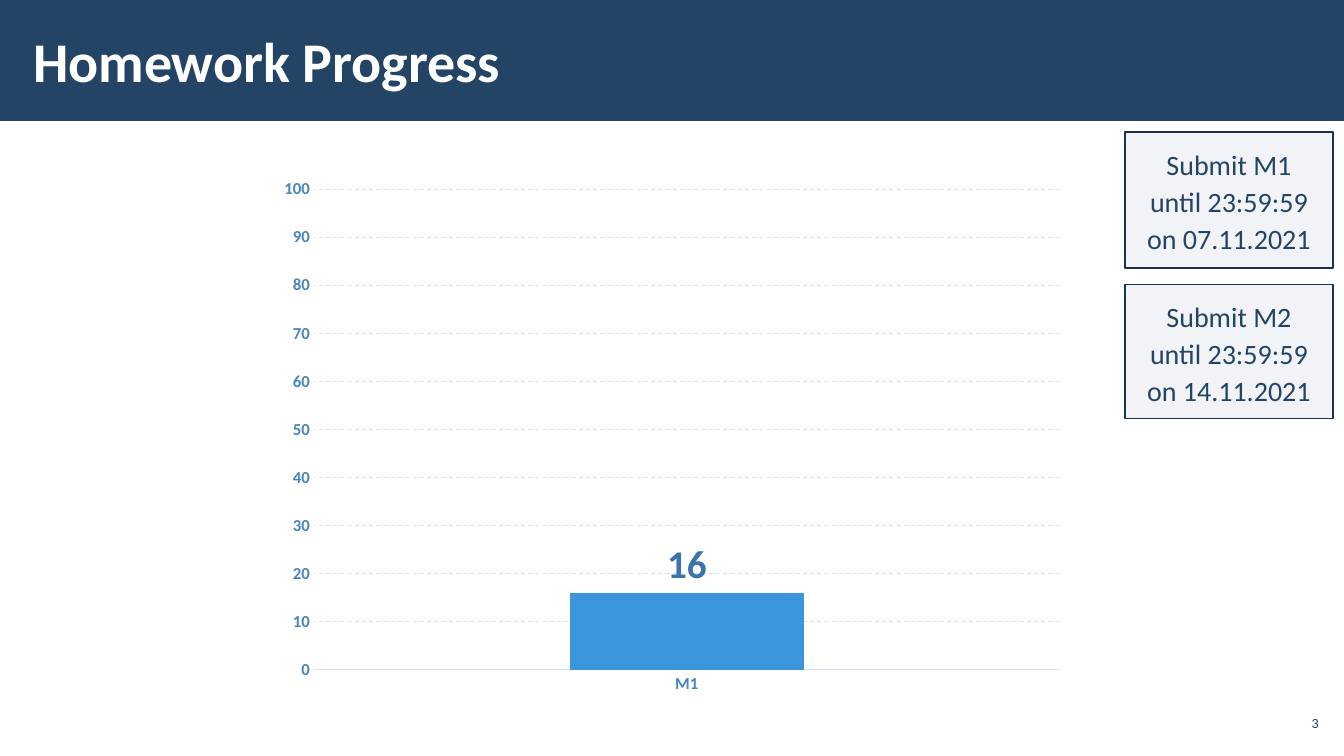
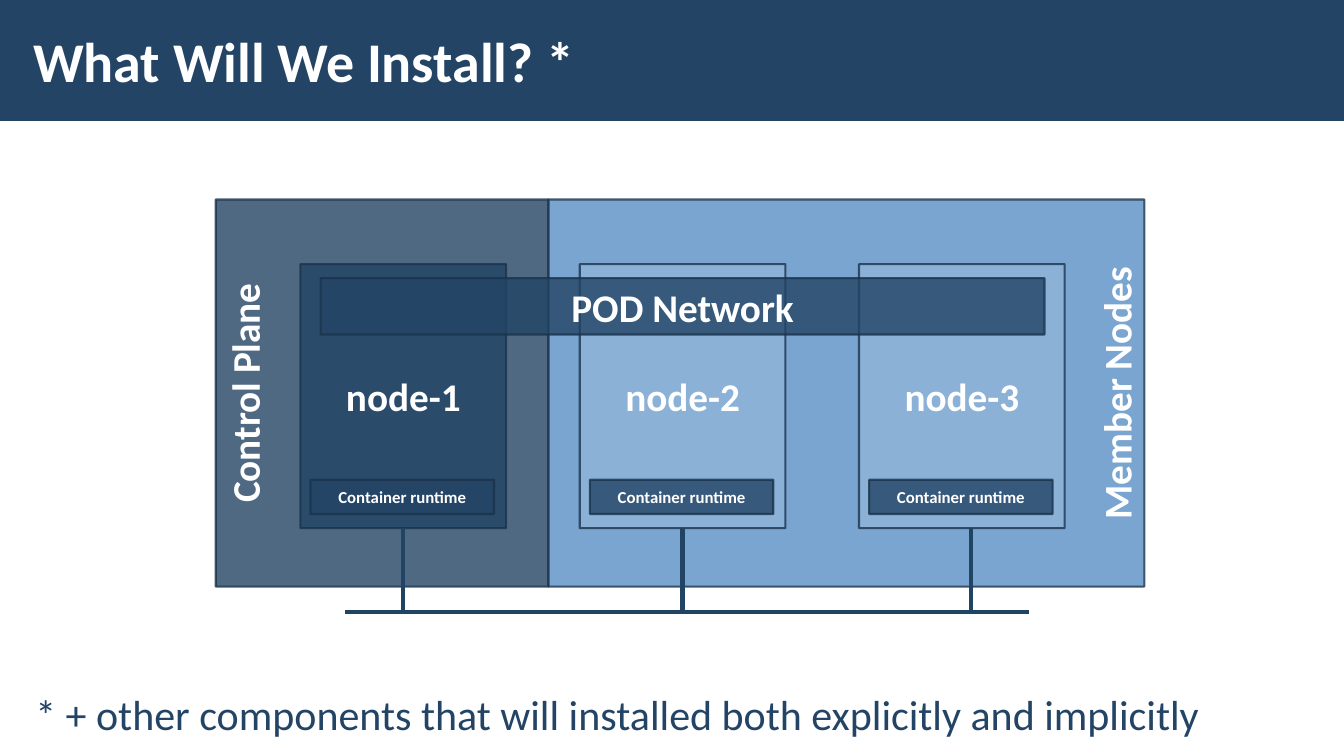
from pptx import Presentation
from pptx.chart.data import CategoryChartData as ChartData
from pptx.dml.color import RGBColor
from pptx.enum.chart import XL_CHART_TYPE as Kind, XL_LABEL_POSITION as Spot
from pptx.enum.chart import XL_MARKER_STYLE as Mark, XL_TICK_MARK as Tick
from pptx.enum.dml import MSO_LINE as Dash
from pptx.enum.shapes import MSO_CONNECTOR as Conn, MSO_SHAPE as Shape
from pptx.enum.text import MSO_ANCHOR as Anchor, MSO_AUTO_SIZE as Auto, PP_ALIGN as Align
from pptx.oxml import parse_xml
from pptx.oxml.ns import nsdecls, qn
from pptx.util import Inches, Pt
from lxml.etree import SubElement as Sub

FONT = "Calibri"
NAVY = RGBColor(0x23, 0x44, 0x65)
EDGE = RGBColor(0x1A, 0x33, 0x4C)
WIRE = RGBColor(0x21, 0x43, 0x64)
WHITE = RGBColor(0xFF, 0xFF, 0xFF)
GRAY = RGBColor(0xAD, 0xB4, 0xC3)
BLUE = RGBColor(0x58, 0x8F, 0xC5)
PALE = RGBColor(0x90, 0xB4, 0xD8)
BAR = RGBColor(0x3C, 0x96, 0xDC)
TREND = RGBColor(0x90, 0xC1, 0xFA)
GRID = RGBColor(0xD5, 0xE3, 0xF1)
AXIS = RGBColor(0x4A, 0x85, 0xC0)
VALUE = RGBColor(0x3B, 0x73, 0xAA)


def style(font, size, color, bold=False):
    font.name, font.size, font.bold = FONT, Pt(size), bold
    font.color.rgb = color


def write(shape, text, size, color, bold=False, align=Align.LEFT,
          anchor=Anchor.MIDDLE, pad=(0.1, 0.05)):
    """Fill a shape with one paragraph and return that paragraph."""
    frame = shape.text_frame
    frame.word_wrap = True
    frame.vertical_anchor = anchor
    frame.margin_left = frame.margin_right = Inches(pad[0])
    frame.margin_top = frame.margin_bottom = Inches(pad[1])
    para = frame.paragraphs[0]
    para.alignment = align
    run = para.add_run()
    run.text = text
    style(run.font, size, color, bold)
    return para


def label(slide, box, text, size, color, **opts):
    area = slide.shapes.add_textbox(*map(Inches, box))
    return write(area, text, size, color, **opts)


def panel(slide, box, fill, alphas=(), width=0):
    """Rectangle; alphas are the opacities of fill and line in percent."""
    shape = slide.shapes.add_shape(Shape.RECTANGLE, *map(Inches, box))
    shape.shadow.inherit = False
    shape.fill.solid()
    shape.fill.fore_color.rgb = fill
    if width:
        shape.line.color.rgb = EDGE
        shape.line.width = Pt(width)
    else:
        shape.line.fill.background()
    tints = list(shape.element.spPr.iter(qn("a:srgbClr")))
    for tint, alpha in zip(tints, alphas):
        Sub(tint, qn("a:alpha")).set("val", str(alpha * 1000))
    return shape


def block(slide, box, fill, text, size=28, anchor=Anchor.MIDDLE, turn=False):
    """Translucent diagram part with a bold white caption."""
    shape = panel(slide, box, fill, (80, 80), 1.5)
    write(shape, text, size, WHITE, bold=True, align=Align.CENTER, anchor=anchor)
    if turn:
        shape.element.txBody.bodyPr.set("vert", "vert270")
    return shape


def wire(slide, x1, y1, x2, y2):
    line = slide.shapes.add_connector(Conn.STRAIGHT, *map(Inches, (x1, y1, x2, y2)))
    line.line.color.rgb = WIRE
    line.line.width = Pt(3)
    Sub(line.element.spPr, qn("a:effectLst"))
    return line


def start(deck, title):
    """New slide with the shared title band."""
    slide = deck.slides.add_slide(deck.slide_layouts[6])
    panel(slide, (0, 0, 13.33, 1.2), NAVY)
    label(slide, (0.21, 0.11, 10.63, 0.97), title, 40, WHITE,
          bold=True, pad=(0.12, 0.04))
    return slide


def add_trend(chart):
    """Turn the second column series into a line on the same axes."""
    first, row = chart.plots[0].series
    bars, row = first._element.getparent(), row._element
    for flag in row.findall(qn("c:invertIfNegative")):
        row.remove(flag)
    plot = parse_xml(f'<c:lineChart {nsdecls("c")}><c:grouping val="standard"/>'
                     '<c:varyColors val="0"/></c:lineChart>')
    plot.append(row)
    Sub(plot, qn("c:marker")).set("val", "1")
    for axis in bars.findall(qn("c:axId")):
        Sub(plot, qn("c:axId")).set("val", axis.get("val"))
    bars.addnext(plot)
    trend = chart.plots[1].series[0]
    trend.smooth = False
    trend.marker.style = Mark.NONE
    trend.format.line.color.rgb = TREND
    trend.format.line.width = Pt(2.25)


def add_score(slide, box):
    data = ChartData()
    data.categories = ["M1"]
    data.add_series("Series 1", [16])
    data.add_series("Series 2", [1])
    chart = slide.shapes.add_chart(
        Kind.COLUMN_CLUSTERED, *map(Inches, box), data).chart
    chart.has_title = chart.has_legend = False
    style(chart.font, 10, NAVY)

    # Columns
    plot = chart.plots[0]
    plot.vary_by_categories = False
    plot.gap_width = 219
    bar = plot.series[0]
    bar.format.fill.solid()
    bar.format.fill.fore_color.rgb = BAR
    tags = bar.data_labels
    tags.show_value = True
    tags.position = Spot.OUTSIDE_END
    style(tags.font, 28, VALUE, True)
    add_trend(chart)

    # Axes
    cat, val = chart.category_axis, chart.value_axis
    for axis in (cat, val):
        axis.major_tick_mark = axis.minor_tick_mark = Tick.NONE
        style(axis.tick_labels.font, 12, AXIS, True)
    val.minimum_scale, val.maximum_scale, val.major_unit = 0, 100, 10
    val.format.line.fill.background()
    for line in (cat.format.line, val.major_gridlines.format.line):
        line.color.rgb = GRID
        line.width = Pt(0.75)
    val.major_gridlines.format.line.dash_style = Dash.DASH


def add_due(slide, box, text):
    shape = panel(slide, box, GRAY, (15,), 1)
    para = write(shape, text, 20, NAVY, align=Align.CENTER,
                 anchor=Anchor.TOP, pad=(0.16, 0.12))
    para.line_spacing = 1.1
    shape.text_frame.auto_size = Auto.SHAPE_TO_FIT_TEXT


def add_nodes(slide, left, top):
    """Three nodes with network drops, runtimes and the pod network."""
    wide, high, step, bus = 2.04, 2.62, 2.77, top + 3.45
    spots = [left + i * step for i in range(3)]
    nodes = [block(slide, (x, top, wide, high), fill, f"node-{i}")
             for i, (x, fill) in enumerate(zip(spots, (NAVY, PALE, PALE)), 1)]

    # Bus and drops; the last drop sits right of its node's middle
    wire(slide, left + 0.44, bus, left + 7.23, bus)
    for x, node, shift in zip(spots, nodes, (0, 0, 0.09)):
        mid = x + wide / 2 + shift
        drop = wire(slide, mid, top + high, mid, bus)
        if not shift:
            drop.begin_connect(node, 2)

    for x in spots:
        block(slide, (x + 0.1, top + 2.14, 1.82, 0.34), NAVY,
              "Container runtime", 12)
    block(slide, (left + 0.2, top + 0.14, 7.18, 0.56), NAVY, "POD Network")


def homework(deck):
    slide = start(deck, "Homework Progress")
    label(slide, (12.65, 7, 0.47, 0.34), "3", 10, NAVY,
          align=Align.RIGHT, pad=(0.04, 0.04))
    add_score(slide, (2.66, 1.67, 8.01, 5.32))
    add_due(slide, (11.16, 1.31, 2.06, 1.35), "Submit M1 until 23:59:59 on 07.11.2021")
    add_due(slide, (11.16, 2.82, 2.06, 1.33), "Submit M2 until 23:59:59 on 14.11.2021")


def install(deck):
    slide = start(deck, "What Will We Install? *")
    block(slide, (2.14, 1.98, 3.3, 3.84), NAVY, "Control Plane",
          anchor=Anchor.TOP, turn=True)
    block(slide, (5.44, 1.98, 5.91, 3.84), BLUE, "Member Nodes",
          anchor=Anchor.BOTTOM, turn=True)
    add_nodes(slide, 2.98, 2.62)

    # Footnote
    note = label(slide, (0.23, 6.77, 12.92, 0.6),
                 "* + other components that will installed both explicitly and implicitly",
                 30, NAVY, anchor=Anchor.TOP, pad=(0.12, 0.04))
    note.line_spacing = 1.05
    note.space_before = note.space_after = Pt(6)


def main():
    deck = Presentation()
    deck.slide_width, deck.slide_height = Inches(13.33), Inches(7.5)
    homework(deck)
    install(deck)
    deck.save("out.pptx")


if __name__ == "__main__":
    main()
